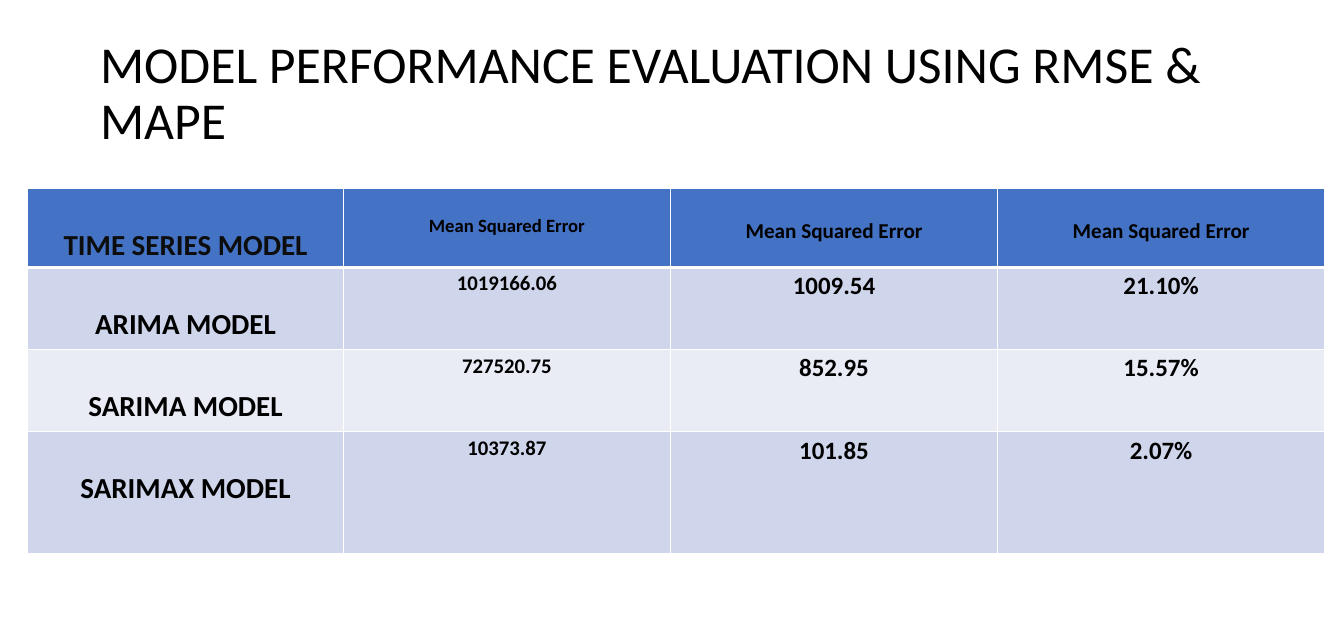
from lxml.etree import SubElement
from pptx import Presentation
from pptx.dml.color import RGBColor
from pptx.enum.text import MSO_ANCHOR as Anchor, MSO_AUTO_SIZE as AutoSize, PP_ALIGN as Align
from pptx.oxml.ns import qn
from pptx.util import Pt

TITLE = "MODEL PERFORMANCE EVALUATION USING RMSE & MAPE"
ROWS = [
    ("TIME SERIES MODEL", "Mean Squared Error", "Mean Squared Error", "Mean Squared Error"),
    ("ARIMA MODEL", "1019166.06", "1009.54", "21.10%"),
    ("SARIMA MODEL", "727520.75", "852.95", "15.57%"),
    ("SARIMAX MODEL", "10373.87", "101.85", "2.07%"),
]
COLORS = {
    "text": "000000",
    "corner": "0D0D0D",
    "border": "FFFFFF",
    "header": "4472C4",
    "odd": "CFD5EA",
    "even": "E9EBF5",
}
FONT = "Calibri"
HEADER_SIZES = (28, 18, 20.4, 20.4)
BODY_SIZES = (28, 20, 24, 24)
COLUMN_WIDTHS = (304.6, 315.4, 315.4, 315.4)
ROW_HEIGHTS = (76.3, 79.2, 79.2, 117.4)
TITLE_BOX = {"left": Pt(89.3), "top": Pt(32.4), "width": Pt(1118.2), "height": Pt(118)}
TABLE_LEFT, TABLE_TOP = 26.6, 181.4


def apply_format(target, values):
    for name, value in values.items():
        setattr(target, name, value)


def write_text(frame, text, size, color, bold, spacing, alignment):
    paragraph = frame.paragraphs[0]
    apply_format(paragraph, {"alignment": alignment, "line_spacing": spacing})
    run = paragraph.add_run()
    run.text = text
    apply_format(run.font, {"name": FONT, "size": Pt(size), "bold": bold})
    run.font.color.rgb = RGBColor.from_string(COLORS[color])


def add_borders(cell, widths):
    properties = cell._tc.get_or_add_tcPr()
    for side, width in widths.items():
        line = SubElement(properties, qn(f"a:ln{side}"), w=str(Pt(width)))
        fill = SubElement(line, qn("a:solidFill"))
        SubElement(fill, qn("a:srgbClr"), val=COLORS["border"])


def add_title(slide):
    title = slide.shapes.title
    apply_format(title, TITLE_BOX)
    apply_format(title.text_frame, {
        "word_wrap": True,
        "auto_size": AutoSize.NONE,
        "vertical_anchor": Anchor.MIDDLE,
    })
    write_text(title.text_frame, TITLE, 49.9, "text", False, 0.9, Align.LEFT)


def add_model_table(slide):
    table = slide.shapes.add_table(
        len(ROWS), len(COLUMN_WIDTHS), Pt(TABLE_LEFT), Pt(TABLE_TOP),
        Pt(sum(COLUMN_WIDTHS)), Pt(sum(ROW_HEIGHTS)),
    ).table
    for column, width in zip(table.columns, COLUMN_WIDTHS):
        column.width = Pt(width)
    for row, height in zip(table.rows, ROW_HEIGHTS):
        row.height = Pt(height)
    for row_index, values in enumerate(ROWS):
        is_header = row_index == 0
        band = "header" if is_header else "odd" if row_index % 2 else "even"
        sizes = HEADER_SIZES if is_header else BODY_SIZES
        for column_index, (text, size) in enumerate(zip(values, sizes)):
            cell = table.cell(row_index, column_index)
            is_model = column_index == 0
            color = "corner" if is_header and is_model else "text"
            spacing = 2.0 if is_header or is_model else 1.0
            write_text(cell.text_frame, text, size, color, True, spacing, Align.CENTER)
            add_borders(cell, {"L": 1, "R": 1, "T": 1, "B": 3 if is_header else 1})
            cell.fill.solid()
            cell.fill.fore_color.rgb = RGBColor.from_string(COLORS[band])


def main():
    presentation = Presentation()
    apply_format(presentation, {"slide_width": Pt(1296), "slide_height": Pt(612)})
    slide = presentation.slides.add_slide(presentation.slide_layouts[5])
    add_title(slide)
    add_model_table(slide)
    presentation.save("out.pptx")


if __name__ == "__main__":
    main()
